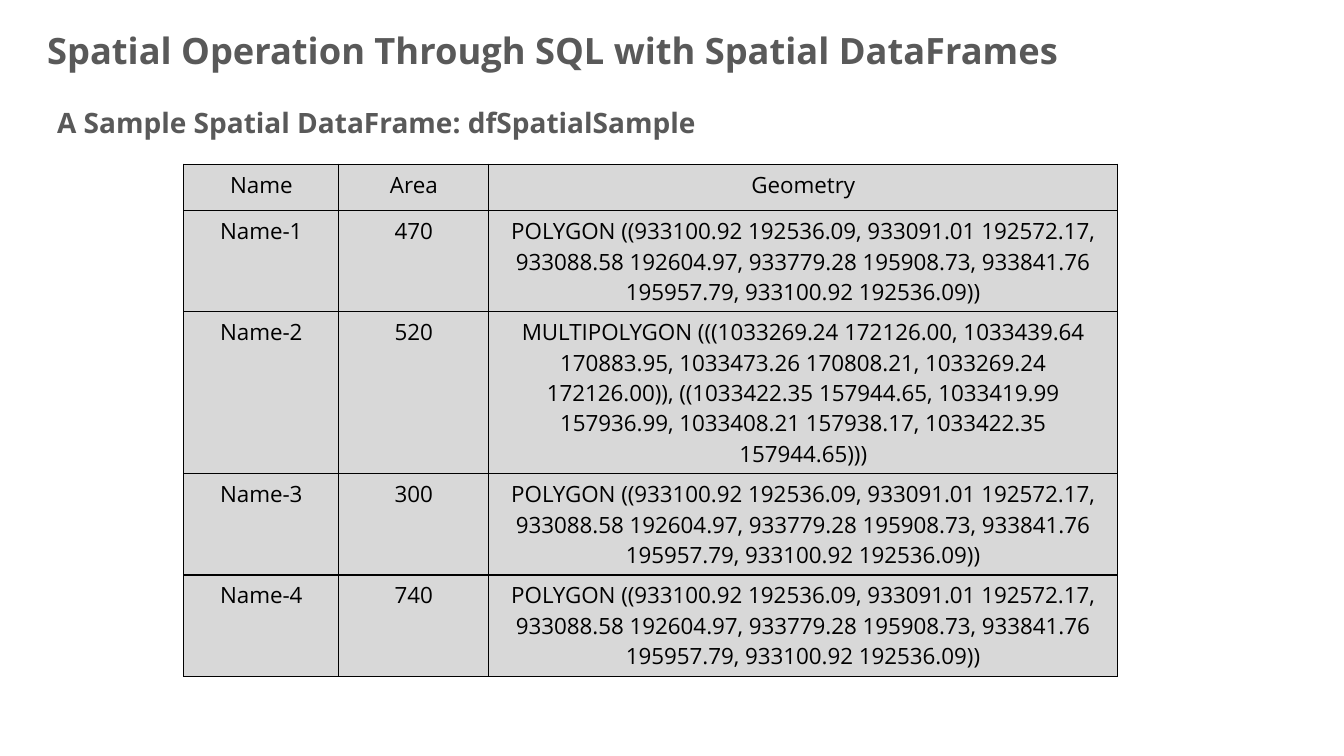
from lxml import etree
from pptx import Presentation
from pptx.dml.color import RGBColor
from pptx.enum.text import MSO_ANCHOR, PP_ALIGN
from pptx.oxml.ns import qn
from pptx.util import Cm, Pt

MIDDLE, TOP = MSO_ANCHOR.MIDDLE, MSO_ANCHOR.TOP
CENTER = PP_ALIGN.CENTER
FONT = "Open Sans"
GREY, BLACK, FILL = "595959", "000000", "D8D8D8"

POLYGON = (
    "POLYGON ((933100.92 192536.09, 933091.01 192572.17, "
    "933088.58 192604.97, 933779.28 195908.73, "
    "933841.76 195957.79, 933100.92 192536.09))"
)
MULTI = (
    "MULTIPOLYGON (((1033269.24 172126.00, 1033439.64 170883.95, "
    "1033473.26 170808.21, 1033269.24 172126.00)), "
    "((1033422.35 157944.65, 1033419.99 157936.99, "
    "1033408.21 157938.17, 1033422.35 157944.65)))"
)
ROWS = [
    ("Name", "Area", "Geometry"),
    ("Name-1", "470", POLYGON),
    ("Name-2", "520", MULTI),
    ("Name-3", "300", POLYGON),
    ("Name-4", "740", POLYGON),
]
WIDTHS = [3.91, 3.78, 15.85]
# Row heights that hold one, three and five lines of text
HEAD, SHORT, TALL = 1.17, 2.55, 4.08
HEIGHTS = [HEAD, SHORT, TALL, SHORT, SHORT]


def color(code):
    return RGBColor.from_string(code)


def style(para, size, code, bold=False):
    font = para.font
    font.name, font.size, font.bold = FONT, Pt(size), bold
    font.color.rgb = color(code)


def add_text(slide, text, left, top, width, height, size, anchor=TOP):
    box = slide.shapes.add_textbox(Cm(left), Cm(top), Cm(width), Cm(height))
    frame = box.text_frame
    frame.word_wrap = True
    frame.vertical_anchor = anchor
    para = frame.paragraphs[0]
    para.text = text
    style(para, size, GREY, bold=True)
    return para


def add_border(cell):
    props = cell._tc.get_or_add_tcPr()
    for side in ("lnL", "lnR", "lnT", "lnB"):
        line = etree.SubElement(props, qn(f"a:{side}"), w=str(Pt(1)))
        solid = etree.SubElement(line, qn("a:solidFill"))
        etree.SubElement(solid, qn("a:srgbClr"), val=BLACK)


def fill_cell(cell, text):
    add_border(cell)
    cell.fill.solid()
    cell.fill.fore_color.rgb = color(FILL)
    para = cell.text_frame.paragraphs[0]
    para.text = text
    para.alignment = CENTER
    style(para, 16, BLACK)


def add_grid(slide, left, top):
    table = slide.shapes.add_table(
        len(ROWS), len(WIDTHS), Cm(left), Cm(top),
        Cm(sum(WIDTHS)), Cm(sum(HEIGHTS))
    ).table
    for column, width in zip(table.columns, WIDTHS):
        column.width = Cm(width)
    for row, height, texts in zip(table.rows, HEIGHTS, ROWS):
        row.height = Cm(height)
        for cell, text in zip(row.cells, texts):
            fill_cell(cell, text)


def main():
    deck = Presentation()
    deck.slide_width, deck.slide_height = Cm(33.87), Cm(19.05)
    slide = deck.slides.add_slide(deck.slide_layouts[6])

    # Title
    title = add_text(
        slide, "Spatial Operation Through SQL with Spatial DataFrames",
        0.94, 0.41, 27.2, 1.83, 25.9, MIDDLE)
    title.line_spacing = 0.9
    title.space_after = Pt(6)

    # Sample table
    add_grid(slide, 4.63, 4.14)

    # Table heading
    add_text(slide, "A Sample Spatial DataFrame: dfSpatialSample",
             1.19, 2.53, 31.09, 1.12, 20)

    deck.save("out.pptx")


if __name__ == "__main__":
    main()
